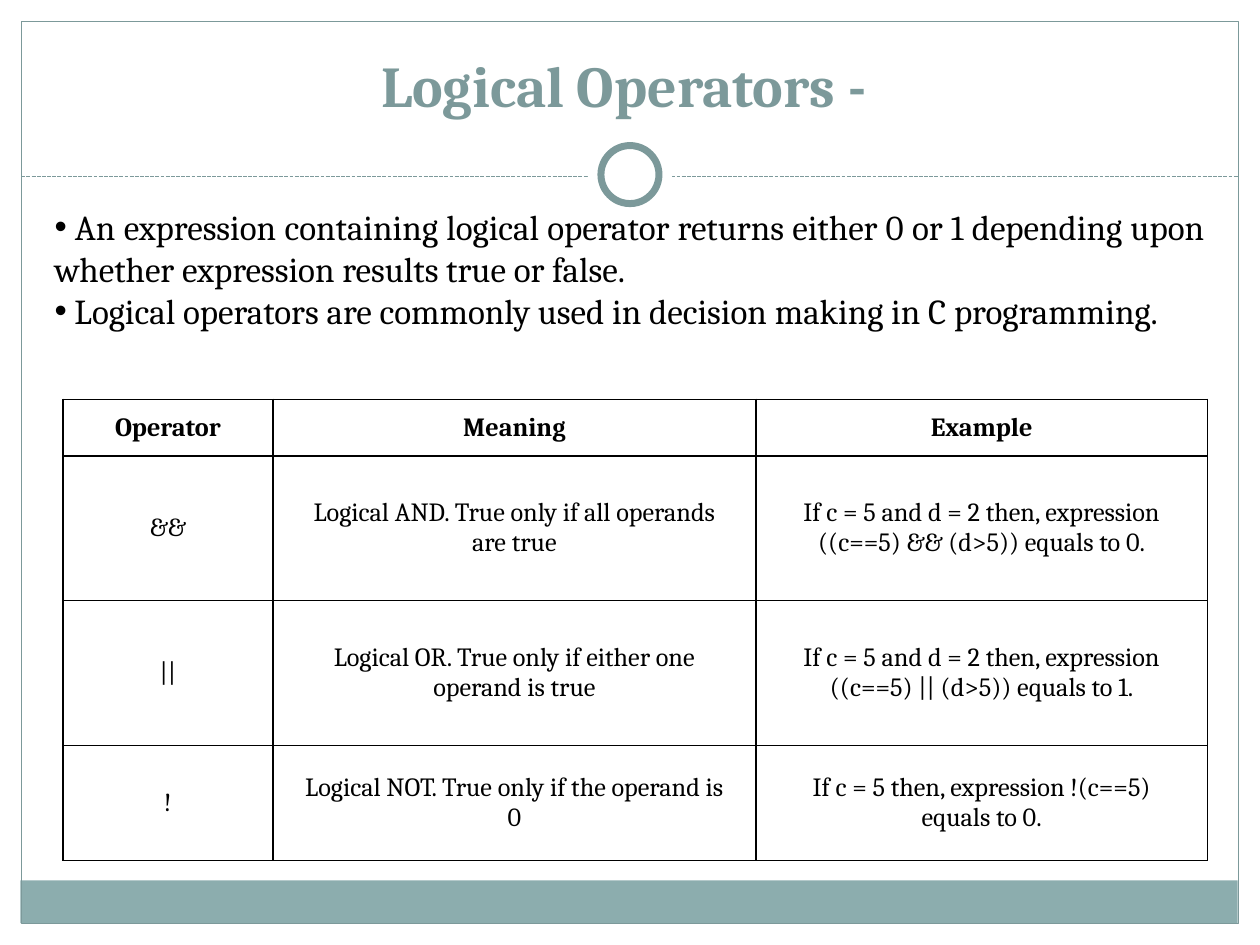
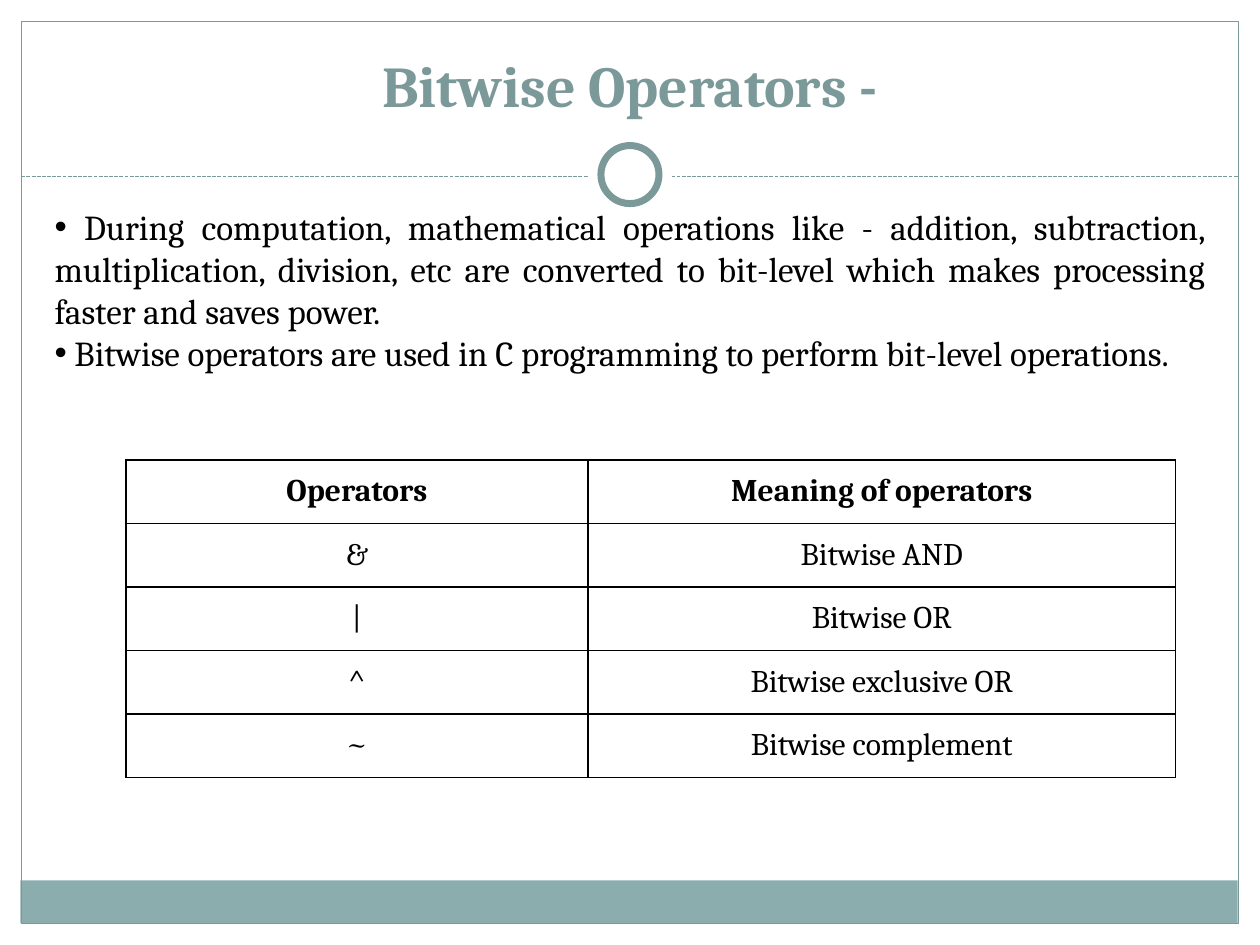
from typing import NamedTuple

from lxml.etree import SubElement
from pptx import Presentation
from pptx.dml.color import RGBColor
from pptx.enum.dml import MSO_LINE
from pptx.enum.shapes import MSO_CONNECTOR, MSO_SHAPE
from pptx.enum.text import MSO_ANCHOR, MSO_AUTO_SIZE, PP_ALIGN
from pptx.oxml.ns import qn
from pptx.slide import Slide
from pptx.text.text import _Paragraph
from pptx.util import Cm, Pt

COLORS = {"white": "FFFFFF", "teal": "7C999A", "band": "8CADAE", "ink": "000000"}
FONT = "Cambria"
WIDTH, HEIGHT = 25.4, 19.05
EDGE = 0.43
RULE = 3.56
RING = 3.52


class Shape(NamedTuple):
    kind: MSO_SHAPE
    left: float
    top: float
    width: float
    height: float
    fill: str = ""
    line: str = ""
    weight: float = 0


class Grid(NamedTuple):
    left: float
    top: float
    cols: list[float]
    rows: list[float]
    size: int
    cells: list[list[str]]


class Page(NamedTuple):
    title: str
    height: float
    points: list[str]
    grid: Grid


def circle(size: float, line: str = "", weight: float = 0) -> Shape:
    return Shape(MSO_SHAPE.OVAL, (WIDTH - size) / 2, RING - size / 2, size, size,
                 "white", line, weight)


BAND = Shape(MSO_SHAPE.RECTANGLE, 0.41, 17.75, 24.54, 0.86, fill="band")
FRAME = Shape(MSO_SHAPE.RECTANGLE, EDGE, EDGE, WIDTH - 2 * EDGE, HEIGHT - 2 * EDGE,
              line="teal", weight=0.75)

PAGES = [
    Page(
        "Logical Operators - ", 3.68,
        [" An expression containing logical operator returns either 0 or 1 "
         "depending upon whether expression results true or false. ",
         " Logical operators are commonly used in decision making in C programming."],
        Grid(1.27, 8.05, [4.23, 9.74, 9.1], [1.14, 2.92, 2.92, 2.32], 15, [
            ["Operator", "Meaning", "Example"],
            ["&&", "Logical AND. True only if all operands are true",
             "If c = 5 and d = 2 then, expression ((c==5) && (d>5)) equals to 0."],
            ["||", "Logical OR. True only if either one operand is true",
             "If c = 5 and d = 2 then, expression ((c==5) || (d>5)) equals to 1."],
            ["!", "Logical NOT. True only if the operand is 0",
             "If c = 5 then, expression !(c==5) equals to 0."],
        ]),
    ),
    Page(
        "Bitwise Operators -", 4.52,
        [" During computation, mathematical operations like - addition, subtraction, "
         "multiplication, division, etc are converted to bit-level which makes "
         "processing faster and saves power.",
         " Bitwise operators are used in C programming to perform bit-level operations."],
        Grid(2.54, 9.27, [9.31, 11.85], [1.28] * 5, 18, [
            ["Operators", "Meaning of operators"],
            ["&", "Bitwise AND"],
            ["|", "Bitwise OR"],
            ["^", "Bitwise exclusive OR"],
            ["~", "Bitwise complement"],
        ]),
    ),
]


def color(name: str) -> RGBColor:
    return RGBColor.from_string(COLORS[name])


def style(para: _Paragraph, size: int, tint: str, bold: bool, align: PP_ALIGN) -> None:
    para.alignment = align
    para.font.name = FONT
    para.font.size = Pt(size)
    para.font.bold = bold
    para.font.color.rgb = color(tint)


def draw_shape(slide: Slide, part: Shape) -> None:
    shape = slide.shapes.add_shape(part.kind, Cm(part.left), Cm(part.top),
                                   Cm(part.width), Cm(part.height))
    shape.shadow.inherit = False
    if part.fill:
        shape.fill.solid()
        shape.fill.fore_color.rgb = color(part.fill)
    else:
        shape.fill.background()
    if part.line:
        shape.line.color.rgb = color(part.line)
        shape.line.width = Pt(part.weight)
    else:
        shape.line.fill.background()


def draw_rule(slide: Slide) -> None:
    rule = slide.shapes.add_connector(MSO_CONNECTOR.STRAIGHT, Cm(EDGE), Cm(RULE),
                                      Cm(WIDTH - EDGE), Cm(RULE))
    rule.line.color.rgb = color("teal")
    rule.line.width = Pt(0.75)
    rule.line.dash_style = MSO_LINE.SQUARE_DOT
    SubElement(rule._element.spPr, qn("a:effectLst"))


def draw_base(slide: Slide) -> None:
    draw_shape(slide, BAND)
    draw_shape(slide, FRAME)
    draw_rule(slide)
    draw_shape(slide, circle(1.7))
    draw_shape(slide, circle(1.17, "teal", 4))


def draw_title(slide: Slide, title: str) -> None:
    frame = slide.shapes.add_textbox(Cm(0.85), Cm(0.64), Cm(23.7), Cm(2.12)).text_frame
    frame.word_wrap = True
    frame.vertical_anchor = MSO_ANCHOR.MIDDLE
    frame.text = title
    style(frame.paragraphs[0], 33, "teal", True, PP_ALIGN.CENTER)


def draw_points(slide: Slide, points: list[str], height: float) -> None:
    frame = slide.shapes.add_textbox(Cm(0.85), Cm(4.02), Cm(23.7), Cm(height)).text_frame
    frame.word_wrap = True
    frame.auto_size = MSO_AUTO_SIZE.SHAPE_TO_FIT_TEXT
    frame.text = "\n".join(points)
    for para in frame.paragraphs:
        props = para._p.get_or_add_pPr()
        SubElement(props, qn("a:buFont"), typeface="Arial")
        SubElement(props, qn("a:buChar"), char="•")
        style(para, 20, "ink", False, PP_ALIGN.JUSTIFY)


def draw_grid(slide: Slide, grid: Grid) -> None:
    table = slide.shapes.add_table(
        len(grid.rows), len(grid.cols), Cm(grid.left), Cm(grid.top),
        Cm(sum(grid.cols)), Cm(sum(grid.rows))).table
    table.first_row = table.horz_banding = False
    for col, width in zip(table.columns, grid.cols):
        col.width = Cm(width)
    for row, height in zip(table.rows, grid.rows):
        row.height = Cm(height)
    for r, texts in enumerate(grid.cells):
        for c, text in enumerate(texts):
            cell = table.cell(r, c)
            cell.text = text
            cell.vertical_anchor = MSO_ANCHOR.MIDDLE
            cell.margin_left = cell.margin_right = Cm(0.51)
            cell.margin_top = cell.margin_bottom = Cm(0.25)
            props = cell._tc.get_or_add_tcPr()
            for side in ("lnL", "lnR", "lnT", "lnB"):
                line = SubElement(props, qn(f"a:{side}"), w=str(Pt(1)))
                fill = SubElement(line, qn("a:solidFill"))
                SubElement(fill, qn("a:srgbClr"), val=COLORS["ink"])
            cell.fill.background()
            style(cell.text_frame.paragraphs[0], grid.size, "ink", r == 0, PP_ALIGN.CENTER)


def main() -> None:
    deck = Presentation()
    deck.slide_width, deck.slide_height = Cm(WIDTH), Cm(HEIGHT)
    for page in PAGES:
        slide = deck.slides.add_slide(deck.slide_layouts[6])
        draw_base(slide)
        draw_title(slide, page.title)
        draw_points(slide, page.points, page.height)
        draw_grid(slide, page.grid)
    deck.save("out.pptx")


if __name__ == "__main__":
    main()
